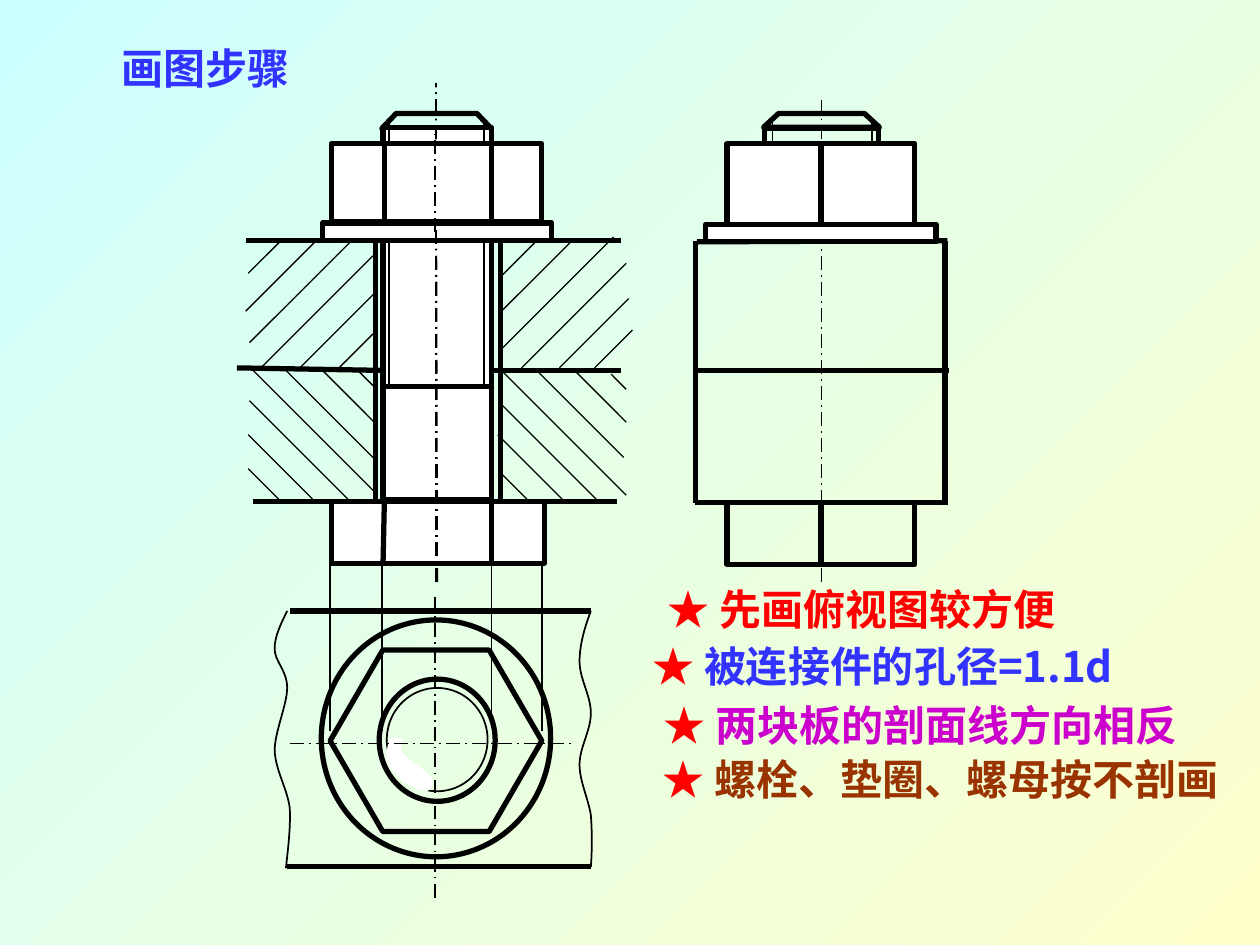
from dataclasses import dataclass

from lxml.etree import Element, SubElement
from pptx import Presentation
from pptx.dml.color import RGBColor
from pptx.enum.dml import MSO_LINE
from pptx.enum.shapes import MSO_CONNECTOR, MSO_SHAPE
from pptx.enum.text import MSO_ANCHOR
from pptx.oxml.ns import qn
from pptx.util import Inches, Pt


@dataclass(frozen=True)
class Theme:
    ink: str = "000000"
    paper: str = "FFFFFF"
    sky: str = "CCFFFF"
    cream: str = "FFFFCC"
    blue: str = "3333FF"
    red: str = "FF0000"
    magenta: str = "CC00CC"
    brown: str = "993300"
    hatch: float = 0.75
    thin: float = 1
    thick: float = 3
    text_size: int = 24
    title_font: str = "Times New Roman"
    body_font: str = "Noto Sans CJK SC"


def set_values(target, values):
    for name, value in values.items():
        setattr(target, name, value)


class Drawing:
    """Draws on a grid of 100 columns and 75 rows."""

    def __init__(self, presentation, theme):
        self.theme = theme
        self.slide = presentation.slides.add_slide(presentation.slide_layouts[6])
        self.shapes = self.slide.shapes
        self.column = presentation.slide_width / 100
        self.row = presentation.slide_height / 75

    def place(self, x, y):
        return round(x * self.column), round(y * self.row)

    def background(self, first, last):
        fill = self.slide.background.fill
        fill.gradient()
        fill.gradient_angle = 315
        for stop, color in zip(fill.gradient_stops, (first, last)):
            stop.color.rgb = RGBColor.from_string(color)

    def stroke(self, line, weight, dash=None):
        line.color.rgb = RGBColor.from_string(self.theme.ink)
        set_values(line, {"width": Pt(weight), "dash_style": dash})

    def finish(self, shape, weight, fill):
        shape.shadow.inherit = False
        if fill:
            shape.fill.solid()
            shape.fill.fore_color.rgb = RGBColor.from_string(fill)
        else:
            shape.fill.background()
        if weight:
            self.stroke(shape.line, weight)
        else:
            shape.line.fill.background()
        return shape

    def preset(self, kind, x, y, width, height, weight=None, fill=None):
        shape = self.shapes.add_shape(kind, *self.place(x, y), *self.place(width, height))
        return self.finish(shape, weight or self.theme.thick, fill)

    def rectangle(self, *box, fill=None):
        return self.preset(MSO_SHAPE.RECTANGLE, *box, fill=fill)

    def outline(self, points, weight, fill=None, close=False):
        start, *rest = [self.place(*point) for point in points]
        builder = self.shapes.build_freeform(*start, scale=1.0)
        builder.add_line_segments(rest, close=close)
        return self.finish(builder.convert_to_shape(), weight, fill)

    def curve(self, start, segments, weight, fill=None, close=False):
        """Chain of cubic curves, each given by two handles and an end."""
        points = [start] + [point for segment in segments for point in segment]
        shape = self.outline(points, weight, fill, close)
        straight = list(shape._element.iter(qn("a:lnTo")))
        for trio in zip(straight[::3], straight[1::3], straight[2::3]):
            cubic = Element(qn("a:cubicBezTo"))
            trio[0].addprevious(cubic)
            for segment in trio:
                cubic.append(segment[0])
                segment.getparent().remove(segment)

    def line(self, x1, y1, x2, y2, weight=None, dash=None):
        connector = self.shapes.add_connector(
            MSO_CONNECTOR.STRAIGHT, *self.place(x1, y1), *self.place(x2, y2))
        SubElement(connector._element.spPr, qn("a:effectLst"))
        self.stroke(connector.line, weight or self.theme.thick, dash)
        return connector

    def lines(self, ends, weight=None):
        for end in ends:
            self.line(*end, weight=weight)

    def center_line(self, *ends):
        self.line(*ends, weight=self.theme.thin, dash=MSO_LINE.LONG_DASH_DOT)

    def split(self, rectangle):
        """Edge from the middle of the top to the middle of the bottom."""
        edge = self.line(0, 0, 1, 1)
        edge.begin_connect(rectangle, 0)
        edge.end_connect(rectangle, 2)

    def hatch(self, starts, slope):
        for x, y, run in starts:
            self.line(x, y, x + run, y + slope * run, weight=self.theme.hatch)

    def chamfer(self, left, right, bottom, top, inset):
        self.outline([(left, bottom), (right, bottom), (right - inset, top),
                      (left + inset, top)], self.theme.thick, close=True)

    def text(self, x, y, width, runs, font):
        box = self.shapes.add_textbox(*self.place(x, y), *self.place(width, 5))
        set_values(box.text_frame, {"word_wrap": True, "vertical_anchor": MSO_ANCHOR.MIDDLE})
        paragraph = box.text_frame.paragraphs[0]
        for content, color in runs:
            run = paragraph.add_run()
            run.text = content
            set_values(run.font, {"size": Pt(self.theme.text_size), "bold": True, "name": font})
            run.font.color.rgb = RGBColor.from_string(color)
            SubElement(run.font._element, qn("a:ea"), typeface=self.theme.body_font)


def draw_plates(drawing):
    drawing.lines([(19.5, 19.1, 49.3, 19.1), (20.1, 39.8, 49, 39.8),
                   (18.8, 29.2, 30.4, 29.4), (39, 29.4, 49.3, 29.4)])
    drawing.hatch([(19.7, 21.7, 2.6), (19.5, 24.7, 5.7), (19.8, 27.2, 8.2),
                   (20.6, 29.3, 9), (23.7, 29.3, 6.1), (26.8, 29.3, 2.8),
                   (39.7, 22, 2.8), (39.7, 24.8, 5.8), (39.7, 27.8, 9),
                   (41.4, 29.2, 8.3), (44.4, 29.2, 5.5), (47.2, 29.2, 3)], -1)
    drawing.hatch([(28.3, 29.3, 1.4), (25.5, 29.3, 4.2), (22.6, 29.3, 7.1),
                   (20, 29.3, 9.7), (19.8, 31.8, 7.9), (19.7, 34.5, 5.1),
                   (19.7, 37.2, 2.5), (39.7, 29.3, 10), (39.7, 32, 7.8),
                   (39.5, 34.5, 5.3), (39.7, 37.5, 2.3), (42.5, 29.3, 7),
                   (45.5, 29.3, 4.2), (48.5, 29.7, 1.2)], 1)
    drawing.lines([(x, 19.1, x, 39.8) for x in (29.8, 39.7)])


def draw_front_bolt(drawing):
    theme = drawing.theme
    drawing.lines([(x, 44.8, x, 58) for x in (26.2, 30.3, 43)], theme.thin)
    drawing.line(39, 44.8, 39, 57.8, weight=theme.hatch)
    drawing.chamfer(30.3, 39, 10.2, 9, 1.15)
    drawing.rectangle(30.4, 10.1, 8.6, 29.6, fill=theme.paper)
    drawing.rectangle(26.3, 39.8, 16.9, 4.9, fill=theme.paper)
    drawing.line(30.3, 30.7, 39, 30.7)
    drawing.lines([(x, 30.7, x, 9.5) for x in (30.9, 38.4)], theme.thin)
    drawing.center_line(34.7, 46.2, 34.6, 6.6)
    drawing.lines([(30.5, 40, 30.4, 44.8), (39, 39.8, 39, 44.8)])
    drawing.rectangle(25.6, 17.7, 18.2, 1.4, fill=theme.paper)


def draw_top_view(drawing):
    theme = drawing.theme
    hexagon = drawing.preset(MSO_SHAPE.HEXAGON, 26.2, 51.6, 16.8, 14.4)
    hexagon.adjustments[0] = 0.29
    drawing.center_line(23, 59, 45.3, 59)
    drawing.center_line(34.5, 47.4, 34.5, 71.3)
    drawing.preset(MSO_SHAPE.OVAL, 25.5, 49.2, 18.2, 18.8)
    drawing.curve((22.8, 48.5), [
        ((22.3, 49.5), (21.8, 50.5), (21.8, 51.5)),
        ((21.8, 52.5), (22.8, 53.2), (22.8, 54.6)),
        ((22.8, 55.9), (21.8, 58.1), (21.8, 59.6)),
        ((21.9, 61.2), (22.8, 62.6), (23, 64.1)),
        ((23.1, 65.7), (22.8, 67.9), (22.7, 68.9))], theme.thin)
    drawing.lines([(23, 48.5, 46.9, 48.5), (22.8, 68.8, 46.9, 68.8)])
    drawing.curve((46.9, 48.5), [
        ((46.4, 49.8), (46, 51.2), (46, 52.5)),
        ((46, 53.9), (46.9, 55.2), (46.9, 56.6)),
        ((46.9, 58), (46, 59.3), (46, 60.7)),
        ((46, 62), (46.7, 63.4), (46.9, 64.7)),
        ((47, 66.1), (47, 67.4), (46.9, 68.8))], theme.thin)


def draw_thread_circle(drawing):
    drawing.preset(MSO_SHAPE.OVAL, 30.7, 54.6, 8, 8.2, weight=drawing.theme.thin)
    drawing.curve((30.9, 58.7), [
        ((30.9, 58.4), (31.7, 58.5), (31.9, 58.7)),
        ((32, 58.9), (31.6, 59.3), (32, 59.8)),
        ((32.4, 60.3), (33.9, 61.2), (34.2, 61.7)),
        ((34.5, 62.2), (34.2, 62.7), (33.9, 62.8)),
        ((33.6, 62.8), (32.7, 62.5), (32.3, 62.2)),
        ((31.9, 62), (31.6, 61.7), (31.4, 61.4)),
        ((31.1, 61.1), (30.8, 60.8), (30.7, 60.3)),
        ((30.6, 59.9), (30.8, 59), (30.9, 58.7))], None, drawing.theme.paper, close=True)


def draw_front_nut(drawing):
    drawing.center_line(34.6, 46.2, 34.6, 7.2)
    drawing.preset(MSO_SHAPE.OVAL, 30.1, 53.9, 9.2, 9.7)
    drawing.rectangle(26.3, 11.4, 16.7, 6.2, fill=drawing.theme.paper)
    drawing.lines([(x, 17.7, x, 11.4) for x in (30.5, 39)])
    drawing.center_line(34.5, 18.4, 34.5, 10.6)


def draw_side_view(drawing):
    theme = drawing.theme
    drawing.center_line(65.2, 7.9, 65.2, 46.3)
    drawing.lines([(x, 16.2, x, 9.5) for x in (61.3, 69.2)], theme.thin)
    drawing.chamfer(60.6, 69.8, 10.1, 9, 1.2)
    drawing.rectangle(60.65, 10.15, 9.1, 6.2)
    drawing.lines([(55.3, 39.9, 55.3, 39.9), (55.1, 29.4, 75.3, 29.4),
                   (55.3, 19.2, 75.2, 19.1)])
    drawing.rectangle(56, 17.8, 18.3, 1.4, fill=theme.paper)
    nut = drawing.rectangle(57.7, 11.4, 14.9, 6.4, fill=theme.paper)
    head = drawing.rectangle(57.7, 39.9, 14.9, 4.9)
    for part in (head, nut):
        drawing.split(part)
    drawing.lines([(75, 40.1, 75, 19.1), (55.2, 39.9, 55.2, 19.1), (55.2, 39.9, 75, 39.9)])


def main():
    theme = Theme()
    presentation = Presentation()
    set_values(presentation, {"slide_width": Inches(10), "slide_height": Inches(7.5)})
    drawing = Drawing(presentation, theme)
    drawing.background(theme.sky, theme.cream)
    for draw in (draw_thread_circle, draw_plates, draw_front_bolt, draw_top_view,
                 draw_front_nut, draw_side_view):
        draw(drawing)
    drawing.text(8.7, 2.9, 22, [("画图步骤", theme.blue)], theme.title_font)
    for x, y, width, note, color in (
            (52, 45.8, 35.7, "先画俯视图较方便", theme.red),
            (50.8, 50.3, 44.1, "被连接件的孔径=1.1d", theme.blue),
            (51.7, 55, 47.7, "两块板的剖面线方向相反", theme.magenta),
            (51.6, 59.3, 48.4, "螺栓、垫圈、螺母按不剖画", theme.brown)):
        drawing.text(x, y, width, [("★ ", theme.red), (note, color)], theme.body_font)
    presentation.save("out.pptx")


if __name__ == "__main__":
    main()
